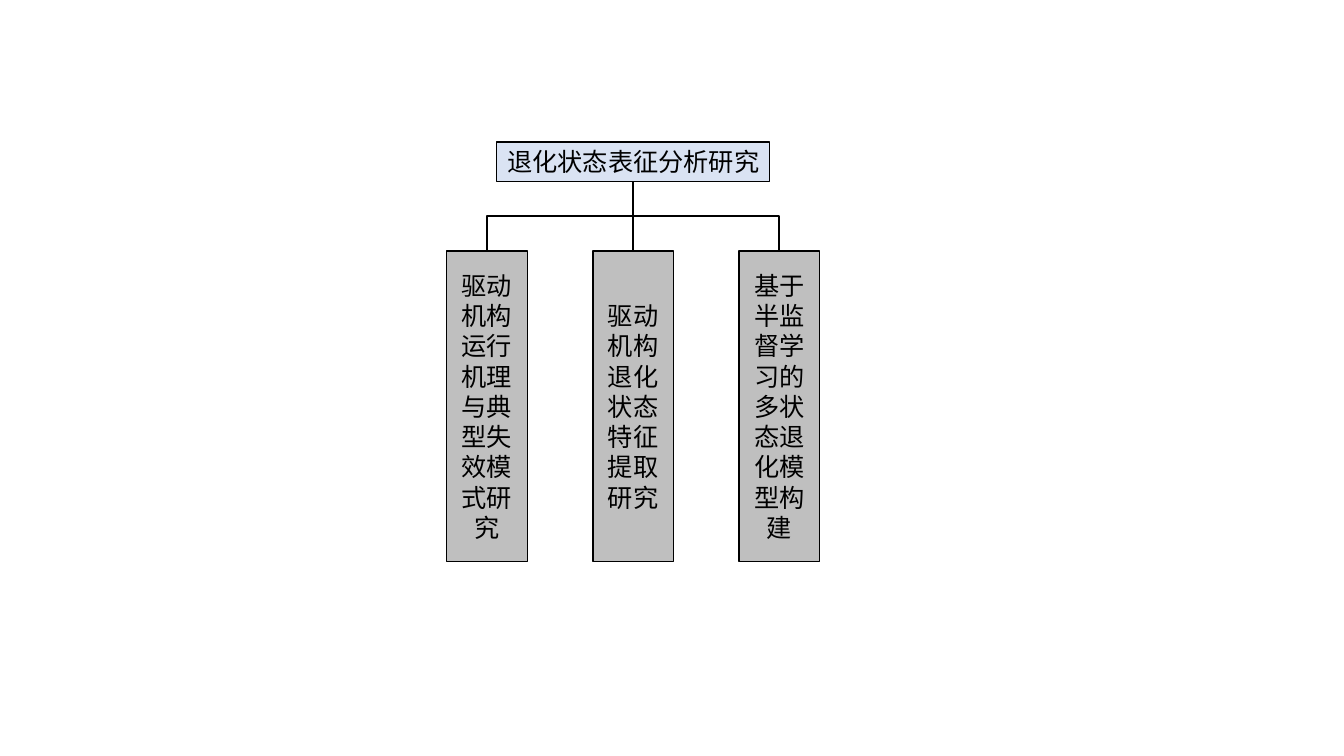
from dataclasses import dataclass

from lxml.etree import SubElement
from pptx import Presentation
from pptx.dml.color import RGBColor
from pptx.enum.shapes import MSO_CONNECTOR as Link, MSO_SHAPE as Preset
from pptx.enum.text import MSO_ANCHOR as Anchor, PP_ALIGN as Align
from pptx.oxml.ns import qn
from pptx.util import Inches, Pt


@dataclass(frozen=True)
class Theme:
    font: str = "Noto Sans CJK SC"
    text_size: float = 18
    border: float = 1
    branch: float = 1.5
    ink: str = "000000"
    root_fill: str = "DAE3F3"
    topic_fill: str = "BFBFBF"


THEME = Theme()
ROOT = "退化状态表征分析研究"
TOPICS = [
    "驱动机构运行机理与典型失效模式研究",
    "驱动机构退化状态特征提取研究",
    "基于半监督学习的多状态退化模型构建",
]


def rgb(value):
    return RGBColor.from_string(value)


def add_node(slide, box, label, fill):
    node = slide.shapes.add_shape(Preset.RECTANGLE, *map(Inches, box))
    node.shadow.inherit = False
    node.fill.solid()
    node.fill.fore_color.rgb = rgb(fill)
    node.line.color.rgb = rgb(THEME.ink)
    node.line.width = Pt(THEME.border)
    frame = node.text_frame
    frame.text = label
    frame.word_wrap = True
    frame.vertical_anchor = Anchor.MIDDLE
    paragraph = frame.paragraphs[0]
    paragraph.alignment = Align.CENTER
    font = paragraph.runs[0].font
    font.name = THEME.font
    font.size = Pt(THEME.text_size)
    font.color.rgb = rgb(THEME.ink)
    SubElement(font._element, qn("a:ea"), typeface=THEME.font)
    return node


def add_branch(slide, root, topic):
    start_x = root.left + root.width // 2
    start_y = root.top + root.height
    end_x = topic.left + topic.width // 2
    drop, shift = topic.top - start_y, end_x - start_x
    branch = slide.shapes.add_connector(Link.ELBOW, start_x, start_y, end_x, topic.top)
    branch.begin_connect(root, 2)
    branch.end_connect(topic, 0)
    branch.width, branch.height = drop, abs(shift)
    branch.left = (start_x + end_x - drop) // 2
    branch.top = (start_y + topic.top - abs(shift)) // 2
    properties = branch._element.spPr
    turn = properties.find(qn("a:xfrm"))
    turn.set("rot", str((270 if shift > 0 else 90) * 60000))
    turn.set("flipH", "1" if shift > 0 else "0")
    turn.set("flipV", "0")
    branch.line.color.rgb = rgb(THEME.ink)
    branch.line.width = Pt(THEME.branch)
    SubElement(properties, qn("a:effectLst"))


def add_hierarchy(slide, box, root_size=(2.71, 0.39), topic_size=(0.8, 3.08)):
    left, top, width, height = box
    root_width, root_height = root_size
    topic_width, topic_height = topic_size
    root_box = (left + (width - root_width) / 2, top, root_width, root_height)
    root = add_node(slide, root_box, ROOT, THEME.root_fill)
    pitch = (width - topic_width) / (len(TOPICS) - 1)
    topic_top = top + height - topic_height
    topics = [
        add_node(slide, (left + i * pitch, topic_top, topic_width, topic_height),
                 label, THEME.topic_fill)
        for i, label in enumerate(TOPICS)
    ]
    for topic in topics:
        add_branch(slide, root, topic)


deck = Presentation()
deck.slide_width, deck.slide_height = Inches(13.33), Inches(7.5)
research_slide = deck.slides.add_slide(deck.slide_layouts[6])
add_hierarchy(research_slide, (4.43, 1.41, 3.7, 4.16))
deck.save("out.pptx")
